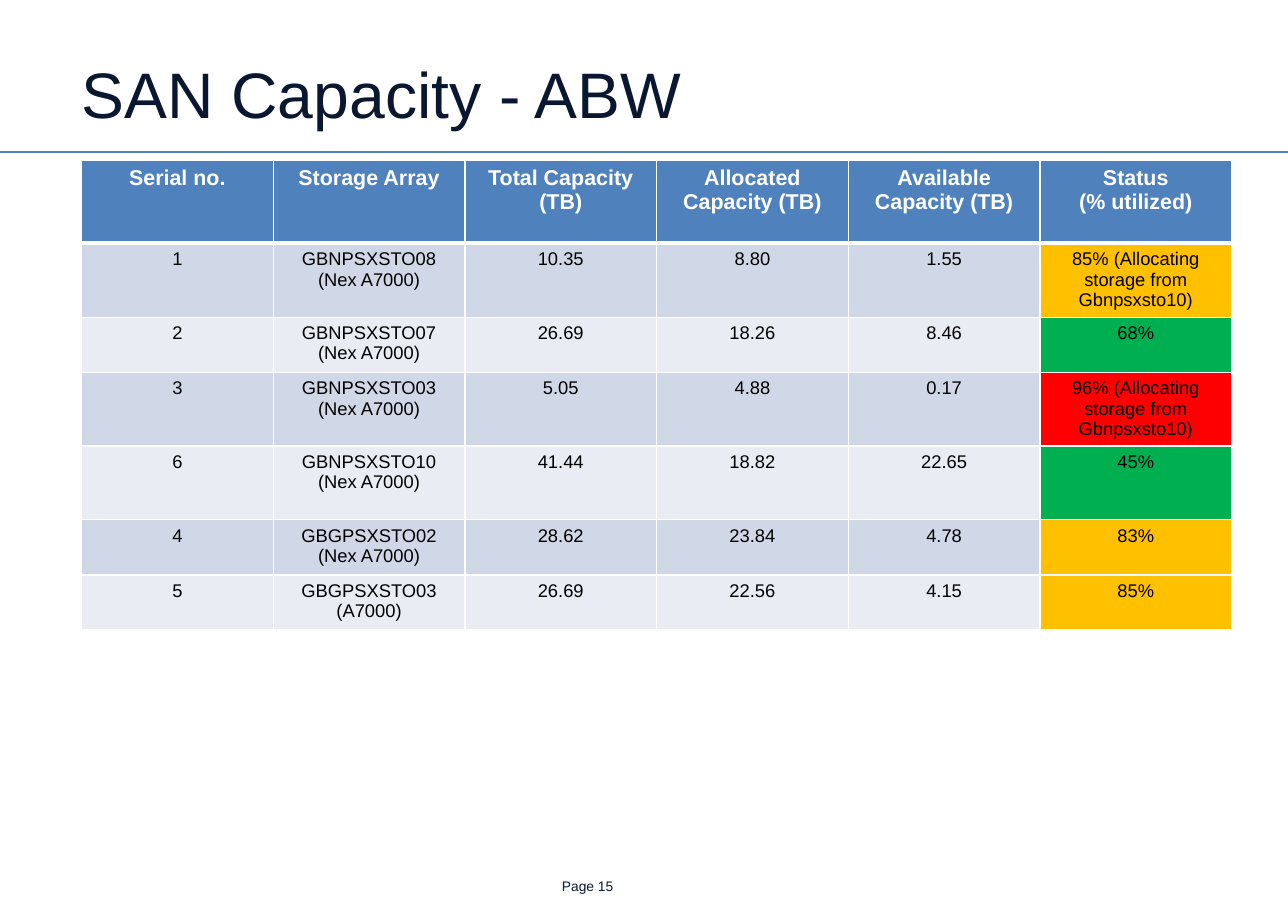
from dataclasses import dataclass

from lxml import etree
from pptx import Presentation
from pptx.dml.color import RGBColor
from pptx.enum.shapes import MSO_CONNECTOR
from pptx.enum.text import MSO_ANCHOR, PP_ALIGN
from pptx.oxml.ns import qn
from pptx.slide import Slide
from pptx.table import _Cell
from pptx.text.text import TextFrame
from pptx.util import Inches, Pt

STRAIGHT = MSO_CONNECTOR.STRAIGHT
CENTER, LEFT = PP_ALIGN.CENTER, PP_ALIGN.LEFT
TOP, MIDDLE, BOTTOM = MSO_ANCHOR.TOP, MSO_ANCHOR.MIDDLE, MSO_ANCHOR.BOTTOM

SLIDE_WIDTH, SLIDE_HEIGHT = 11.69, 8.27
MARGIN_LEFT = 0.74
COLUMN_WIDTH = 1.74
HEADER_HEIGHT = 0.75
THIN_BORDER, THICK_BORDER = 0.96, 3

NAVY, BLUE, WHITE, BLACK = "0A1731", "4F81BD", "FFFFFF", "000000"
BANDS = ("D0D8E7", "E9ECF3")
AMBER, GREEN, RED = "FFC000", "00B050", "FF0000"

HEADERS = (
    "Serial no.",
    "Storage Array",
    "Total Capacity (TB)",
    "Allocated Capacity (TB)",
    "Available Capacity (TB)",
    "Status\n(% utilized)",
)


@dataclass(frozen=True)
class StorageArray:
    serial: str
    name: str
    total: str
    allocated: str
    available: str
    status: str
    status_color: str
    height: float

    def texts(self) -> tuple[str, ...]:
        return (self.serial, self.name, self.total, self.allocated,
                self.available, self.status)


ARRAYS = (
    StorageArray("1", "GBNPSXSTO08\n(Nex A7000)", "10.35", "8.80", "1.55",
                 "85% (Allocating storage from Gbnpsxsto10)", AMBER, 0.67),
    StorageArray("2", "GBNPSXSTO07\n(Nex A7000)", "26.69", "18.26", "8.46",
                 "68%", GREEN, 0.5),
    StorageArray("3", "GBNPSXSTO03\n(Nex A7000)", "5.05", "4.88", "0.17",
                 "96% (Allocating storage from Gbnpsxsto10)", RED, 0.67),
    StorageArray("6", "GBNPSXSTO10\n(Nex A7000)", "41.44", "18.82", "22.65",
                 "45%", GREEN, 0.67),
    StorageArray("4", "GBGPSXSTO02\n(Nex A7000)", "28.62", "23.84", "4.78",
                 "83%", AMBER, 0.5),
    StorageArray("5", "GBGPSXSTO03\n(A7000)", "26.69", "22.56", "4.15",
                 "85%", AMBER, 0.5),
)


def rgb(color: str) -> RGBColor:
    return RGBColor.from_string(color)


def write(frame: TextFrame, text: str, size: float, color: str,
          bold: bool = False, align: PP_ALIGN = LEFT) -> None:
    frame.text = text
    for paragraph in frame.paragraphs:
        paragraph.alignment = align
        for run in paragraph.runs:
            run.font.name = "Arial"
            run.font.size = Pt(size)
            run.font.bold = bold
            run.font.color.rgb = rgb(color)


def set_margins(frame: TextFrame, right: float = 0) -> None:
    frame.margin_left = frame.margin_top = frame.margin_bottom = 0
    frame.margin_right = Inches(right)


def set_border(cell: _Cell, side: str, width: float) -> None:
    properties = cell._tc.get_or_add_tcPr()
    line = etree.SubElement(properties, qn(f"a:ln{side}"), w=str(Pt(width)))
    fill = etree.SubElement(line, qn("a:solidFill"))
    etree.SubElement(fill, qn("a:srgbClr"), val=WHITE)


def format_cell(cell: _Cell, text: str, fill: str, row: int) -> None:
    is_header = row == 0
    top = THICK_BORDER if row == 1 else THIN_BORDER
    bottom = THICK_BORDER if is_header else THIN_BORDER
    for side, width in (("L", THIN_BORDER), ("R", THIN_BORDER),
                        ("T", top), ("B", bottom)):
        set_border(cell, side, width)
    cell.fill.solid()
    cell.fill.fore_color.rgb = rgb(fill)
    cell.vertical_anchor = TOP
    write(cell.text_frame, text, 14 if is_header else 12,
          WHITE if is_header else BLACK, is_header, CENTER)


def add_title(slide: Slide) -> None:
    title = slide.shapes.title
    title.left, title.top = Inches(MARGIN_LEFT), Inches(0.55)
    title.width, title.height = Inches(10.53), Inches(0.69)
    frame = title.text_frame
    set_margins(frame, right=0.09)
    frame.vertical_anchor = MIDDLE
    write(frame, "SAN Capacity - ABW", 42, NAVY)
    frame.paragraphs[0].line_spacing = 0.85


def add_rule(slide: Slide) -> None:
    rule = slide.shapes.add_connector(
        STRAIGHT, 0, Inches(1.38), Inches(SLIDE_WIDTH), Inches(1.38))
    rule.line.color.rgb = rgb(BLUE)
    rule.line.width = Pt(0.75)
    etree.SubElement(rule._element.spPr, qn("a:effectLst"))


def add_capacity_table(slide: Slide) -> None:
    heights = [HEADER_HEIGHT] + [array.height for array in ARRAYS]
    table = slide.shapes.add_table(
        len(heights), len(HEADERS), Inches(MARGIN_LEFT), Inches(1.46),
        Inches(COLUMN_WIDTH * len(HEADERS)), Inches(sum(heights))).table
    for column in table.columns:
        column.width = Inches(COLUMN_WIDTH)
    for row, height in zip(table.rows, heights):
        row.height = Inches(height)

    for column, header in enumerate(HEADERS):
        format_cell(table.cell(0, column), header, BLUE, 0)
    for row, array in enumerate(ARRAYS, start=1):
        band = BANDS[(row - 1) % 2]
        fills = [band] * (len(HEADERS) - 1) + [array.status_color]
        for column, (text, fill) in enumerate(zip(array.texts(), fills)):
            format_cell(table.cell(row, column), text, fill, row)


def add_page_number(slide: Slide) -> None:
    box = slide.shapes.add_textbox(
        Inches(5.1), Inches(7.97), Inches(0.72), Inches(0.15))
    frame = box.text_frame
    frame.word_wrap = True
    set_margins(frame)
    frame.vertical_anchor = BOTTOM
    write(frame, "Page 15", 9, NAVY)


def main() -> None:
    presentation = Presentation()
    presentation.slide_width = Inches(SLIDE_WIDTH)
    presentation.slide_height = Inches(SLIDE_HEIGHT)
    title_only = presentation.slide_layouts[5]
    slide = presentation.slides.add_slide(title_only)

    # Heading
    add_rule(slide)
    add_title(slide)
    # Storage figures
    add_capacity_table(slide)
    # Footer
    add_page_number(slide)

    presentation.save("out.pptx")


if __name__ == "__main__":
    main()
